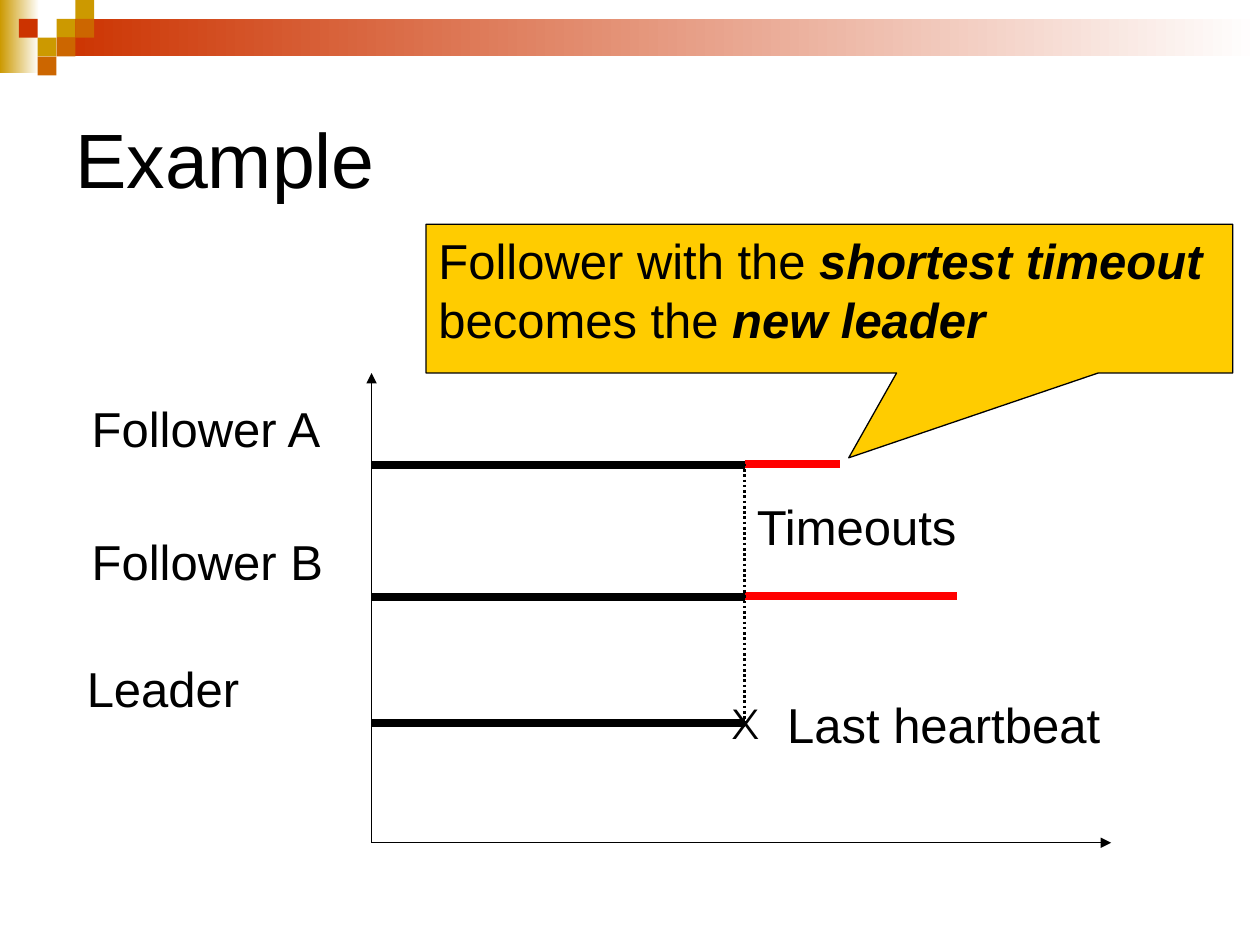
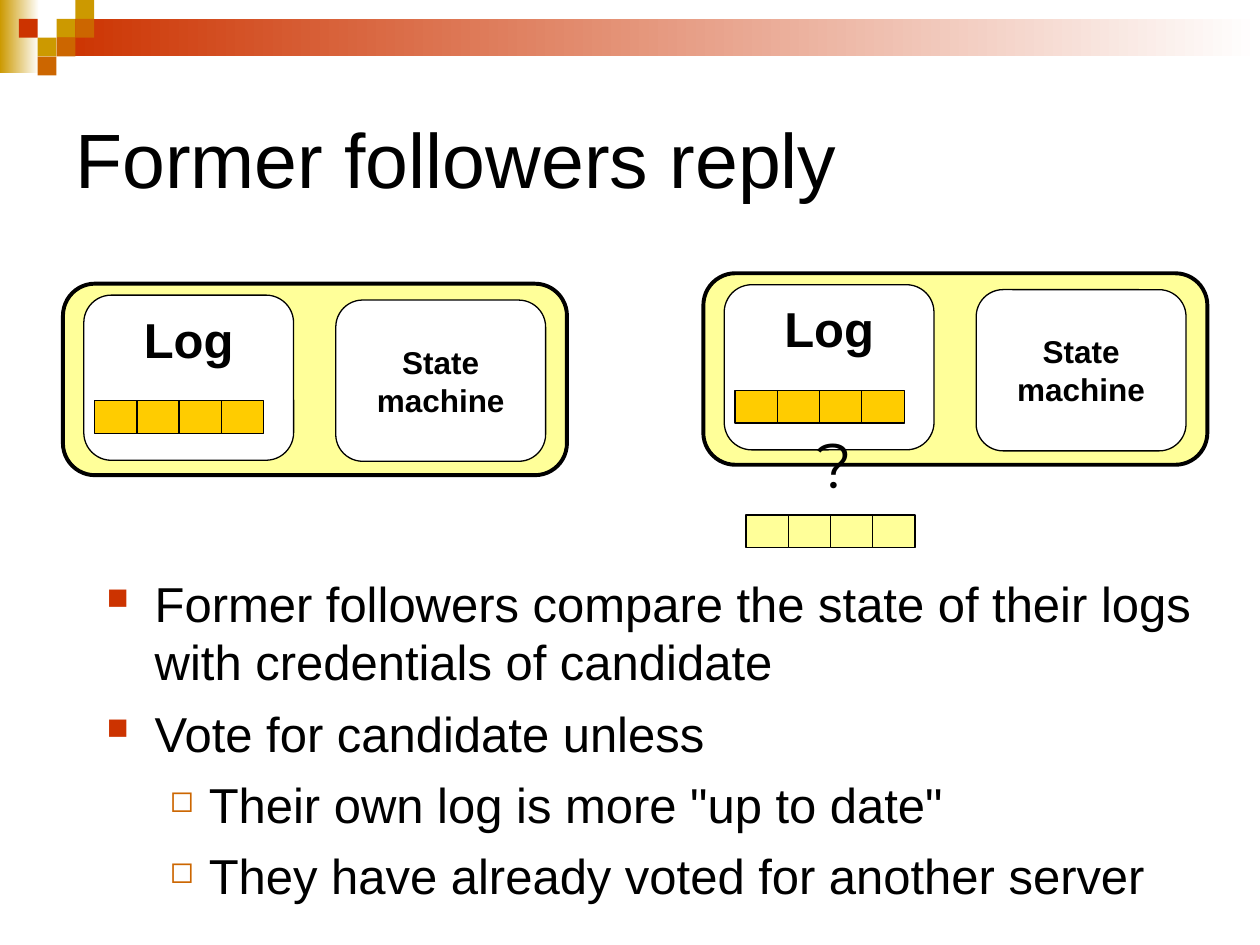
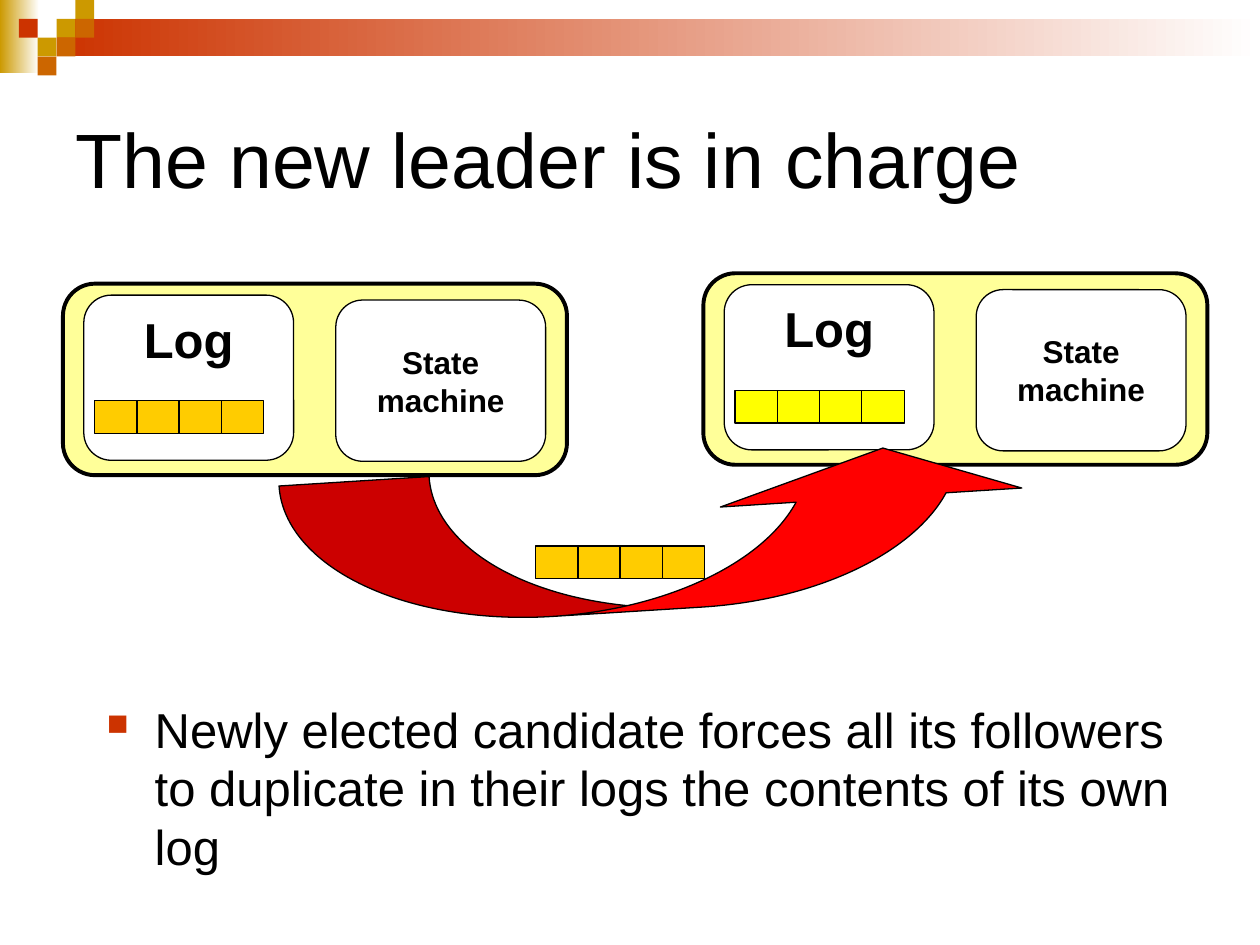
from lxml import etree
from pptx import Presentation
from pptx import util as u
from pptx.dml.color import RGBColor
from pptx.enum import dml, shapes, text
from pptx.oxml.ns import qn

BLACK, WHITE, RED = "000000", "FFFFFF", "FF0000"
GOLD, RUST, BRICK = "CC9900", "CC6600", "CC3300"
AMBER, CREAM, YELLOW = "FFCC00", "FFFF99", "FFFF00"
KIND = shapes.MSO_SHAPE
LEFT, MID = text.PP_ALIGN.LEFT, text.PP_ALIGN.CENTER
TOP, CORE = text.MSO_ANCHOR.TOP, text.MSO_ANCHOR.MIDDLE

# Bullet levels: sign, colour, size in percent, left edge and hang in cm
LEVELS = [("■", BRICK, 61, 0.97, 0.97), ("◻", RUST, 61, 2.06, 0.79)]

# Header mosaic: column, row, colour
TILE = 0.38
TILES = [(3, 1, GOLD), (4, 0, GOLD), (4, 1, RUST), (2, 2, GOLD),
         (1, 1, BRICK), (3, 2, RUST), (2, 3, RUST)]


def hue(code):
    return RGBColor.from_string(code)


def bullet(para, level):
    sign, tint, size, edge, hang = LEVELS[level]
    props = para._p.get_or_add_pPr()
    props.set("marL", str(u.Cm(edge)))
    props.set("indent", str(-u.Cm(hang)))
    color = etree.SubElement(props, qn("a:buClr"))
    etree.SubElement(color, qn("a:srgbClr"), val=tint)
    etree.SubElement(props, qn("a:buSzPct"), val=str(size * 1000))
    etree.SubElement(props, qn("a:buChar"), char=sign)


def write(frame, paras, size=28, font="Arial", bold=False, align=LEFT,
          anchor=TOP, wrap=True, grow=False, levels=None, before=0):
    """Fill a frame; a paragraph is a string or a list of (string, stress)."""
    frame.word_wrap = wrap
    frame.vertical_anchor = anchor
    if grow:
        frame.auto_size = text.MSO_AUTO_SIZE.SHAPE_TO_FIT_TEXT
    for i, item in enumerate(paras):
        para = frame.add_paragraph() if i else frame.paragraphs[0]
        para.alignment = align
        para.space_before = u.Pt(before)
        if levels:
            para.level = levels[i]
            bullet(para, levels[i])
        for words, stress in [(item, False)] if isinstance(item, str) else item:
            if words == "\n":
                para.add_line_break()
                continue
            run = para.add_run()
            run.text = words
            run.font.name, run.font.size = font, u.Pt(size)
            run.font.bold, run.font.italic = bold or stress, stress
            run.font.color.rgb = hue(BLACK)


class Deck:
    def __init__(self):
        self.prs = Presentation()
        self.prs.slide_width, self.prs.slide_height = u.Cm(25.4), u.Cm(19.05)
        self.page = None

    def start(self, title):
        """Add a slide with the header band and its title."""
        self.page = self.prs.slides.add_slide(self.prs.slide_layouts[6])
        self.fade(0, 0, 0.79, 1.47, GOLD)
        self.fade(1.14, 0.38, 24.26, 0.76, BRICK)
        for col, row, tint in TILES:
            self.shape(KIND.RECTANGLE, col * TILE, row * TILE, TILE, TILE, tint, 0)
        self.block([title], 1.27, 1.27, 24.13, 3.81, size=44, anchor=CORE)

    def shape(self, kind, x, y, w, h, tint, line=0.75, adj=()):
        item = self.page.shapes.add_shape(kind, *map(u.Cm, (x, y, w, h)))
        item.shadow.inherit = False
        item.fill.solid()
        item.fill.fore_color.rgb = hue(tint)
        if line:
            item.line.color.rgb = hue(BLACK)
            item.line.width = u.Pt(line)
        else:
            item.line.fill.background()
        for i, value in enumerate(adj):
            item.adjustments[i] = value
        return item

    def fade(self, x, y, w, h, tint):
        fill = self.shape(KIND.RECTANGLE, x, y, w, h, tint, 0).fill
        fill.gradient()
        fill.gradient_angle = 0
        for stop, code in zip(fill.gradient_stops, (tint, WHITE)):
            stop.color.rgb = hue(code)

    def block(self, paras, x, y, w, h, **style):
        box = self.page.shapes.add_textbox(*map(u.Cm, (x, y, w, h)))
        write(box.text_frame, paras, **style)

    def label(self, words, x, y, w, h=1.45, **style):
        """One line of text in a box that fits it."""
        self.block([words], x, y, w, h, wrap=False, grow=True, **style)

    def points(self, y, h, *items):
        """Bulleted body text; an item is (level, words)."""
        self.block([words for _, words in items], 1.9, y, 22.86, h,
                   levels=[level for level, _ in items], before=7)

    def line(self, x1, y1, x2, y2, tint=BLACK, width=0.75, arrow=False, dots=False):
        item = self.page.shapes.add_connector(
            shapes.MSO_CONNECTOR.STRAIGHT, *map(u.Cm, (x1, y1, x2, y2)))
        item.line.color.rgb = hue(tint)
        item.line.width = u.Pt(width)
        if dots:
            item.line.dash_style = dml.MSO_LINE.ROUND_DOT
        props = item._element.spPr
        if arrow:
            etree.SubElement(props.find(qn("a:ln")), qn("a:tailEnd"), type="triangle")
        etree.SubElement(props, qn("a:effectLst"))

    def cells(self, x, y, tint):
        for i in range(4):
            self.shape(KIND.RECTANGLE, x + i * 0.85, y, 0.86, 0.66, tint)

    def round(self, x, y, w, h, tint, line=0.75):
        return self.shape(KIND.ROUNDED_RECTANGLE, x, y, w, h, tint, line, [0.167])

    def server(self, x, y, tint):
        """A server with its state machine and a log of four entries."""
        self.round(x, y, 10.16, 3.86, CREAM, 2.25)
        state = self.round(x + 5.5, y + 0.33, 4.23, 3.25, WHITE)
        write(state.text_frame, ["State", "machine"], size=18, bold=True,
              align=MID, anchor=CORE, wrap=False)
        log = self.round(x + 0.42, y + 0.23, 4.23, 3.33, WHITE)
        write(log.text_frame, ["Log"], bold=True, align=MID, wrap=False)
        self.cells(x + 0.64, y + 2.36, tint)

    def pair(self, tint):
        self.server(1.27, 5.72, AMBER)
        self.server(14.18, 5.51, tint)


def main():
    deck = Deck()

    # Slide 1: timeline of the election
    deck.start("Example")
    left, last, base = 7.49, 15.01, 16.99
    deck.line(left, base, left, 7.52, arrow=True)
    deck.line(left, base, 22.4, base, arrow=True)
    for name, x, y, w in [("Follower A", 1.6, 7.9, 5.16),
                          ("Follower B", 1.6, 10.59, 5.16),
                          ("Leader", 1.5, 13.16, 3.58),
                          ("Last heartbeat", 15.62, 13.87, 6.81),
                          ("Timeouts", 15.01, 9.88, 4.55)]:
        deck.label(name, x, y, w)
    deck.label("X", 14.5, 13.94, 0.99, 1.27, size=24, font="Montserrat")
    for y in (9.37, 12.04, 14.58):
        deck.line(left, y, last, y, width=4.5)
    for y, end in [(9.35, 16.94), (12.01, 19.3)]:
        deck.line(last, y, end, y, RED, 4.5)
    note = deck.shape(KIND.RECTANGULAR_CALLOUT, 8.59, 4.52, 16.26, 3, AMBER,
                      adj=[0.024, 1.07])
    write(note.text_frame, [[("Follower with the ", False), ("shortest timeout", True),
                             ("\n", False), ("becomes the ", False),
                             ("new leader", True)]])
    deck.line(last, 9.35, last, 14.58, width=1.5, dots=True)

    # Slide 2: votes of the followers
    deck.start("Former followers reply")
    deck.points(11.43, 6.99,
                (0, "Former followers compare the state of their logs "
                    "with credentials of candidate"),
                (0, "Vote for candidate unless"),
                (1, 'Their own log is more "up to date"'),
                (1, "They have already voted for another server"))
    deck.pair(AMBER)
    deck.cells(15.04, 10.38, CREAM)
    deck.label("?", 16.21, 8.46, 1.04, 1.78, size=36, font="Montserrat")

    # Slide 3: the leader copies its log
    deck.start("The new leader is in charge")
    deck.points(13.97, 4.45,
                (0, "Newly elected candidate forces all its followers to duplicate "
                    "in their logs the contents of its own log"))
    deck.pair(YELLOW)
    arrow = deck.shape(KIND.CURVED_RIGHT_ARROW, 11.84, 3.18, 2.97, 15.24, RED,
                       adj=[1.02, 2.05, 0.33])
    arrow.rotation = 266.4
    deck.cells(10.8, 11.01, AMBER)

    deck.prs.save("out.pptx")


if __name__ == "__main__":
    main()
